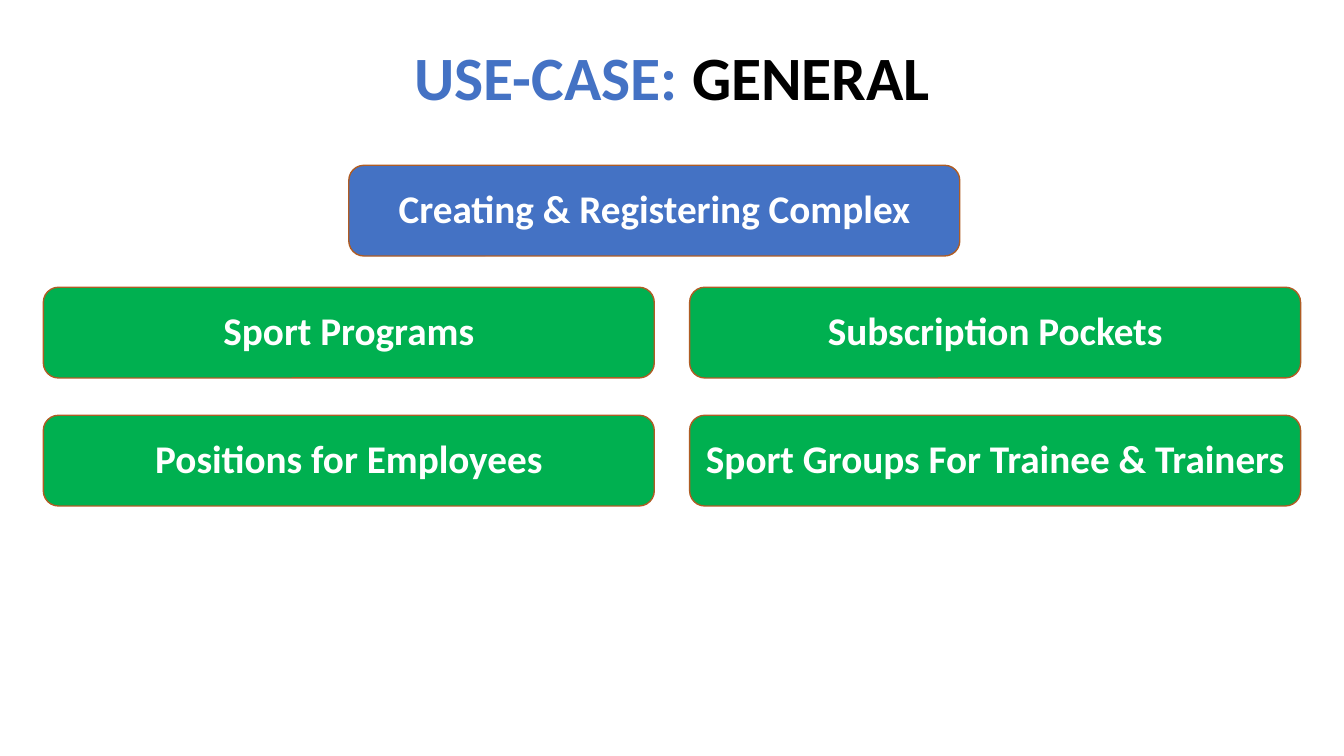
"""Build the general use-case slide: a heading over one main and four supporting use cases."""
from dataclasses import dataclass

import pptx
import pptx.dml.color
import pptx.enum.shapes
import pptx.enum.text
import pptx.slide
import pptx.text.text
import pptx.util

Inches = pptx.util.Inches
Pt = pptx.util.Pt
RGBColor = pptx.dml.color.RGBColor

BLUE = RGBColor(0x44, 0x72, 0xC4)
GREEN = RGBColor(0x00, 0xB0, 0x50)
RUST = RGBColor(0xAF, 0x5C, 0x24)
BLACK = RGBColor(0x00, 0x00, 0x00)
WHITE = RGBColor(0xFF, 0xFF, 0xFF)

CARD_WIDTH, CARD_HEIGHT = 6.06, 0.9
COLUMNS = (0.43, 6.84)
ROWS = (2.85, 4.12)


@dataclass(frozen=True)
class UseCase:
    """A use case with its card position in inches and its fill."""

    label: str
    left: float
    top: float
    fill: RGBColor = GREEN


SUPPORTING_LABELS = (
    ("Sport Programs", "Subscription Pockets"),
    ("Positions for Employees", "Sport Groups For Trainee & Trainers"),
)
USE_CASES = [UseCase("Creating & Registering Complex", 3.46, 1.64, BLUE)] + [
    UseCase(label, left, top)
    for top, labels in zip(ROWS, SUPPORTING_LABELS)
    for left, label in zip(COLUMNS, labels)
]


def write_text(
    frame: pptx.text.text.TextFrame,
    *parts: tuple[str, RGBColor],
    size: float,
    space_before: float = 0,
    side_margin: float = 0.1,
) -> None:
    """Write coloured parts as one bold centred paragraph."""
    frame.word_wrap = True
    frame.auto_size = pptx.enum.text.MSO_AUTO_SIZE.NONE
    frame.vertical_anchor = pptx.enum.text.MSO_ANCHOR.MIDDLE
    frame.margin_left = frame.margin_right = Inches(side_margin)
    paragraph = frame.paragraphs[0]
    paragraph.alignment = pptx.enum.text.PP_ALIGN.CENTER
    paragraph.line_spacing = 0.9
    paragraph.space_before = Pt(space_before)
    for text, color in parts:
        run = paragraph.add_run()
        run.text = text
        run.font.name = "Calibri"
        run.font.size = Pt(size)
        run.font.bold = True
        run.font.color.rgb = color


def draw_use_case(slide: pptx.slide.Slide, use_case: UseCase) -> None:
    """Draw a use case as a rounded card."""
    card = slide.shapes.add_shape(
        pptx.enum.shapes.MSO_SHAPE.ROUNDED_RECTANGLE,
        Inches(use_case.left),
        Inches(use_case.top),
        Inches(CARD_WIDTH),
        Inches(CARD_HEIGHT),
    )
    card.shadow.inherit = False
    card.fill.solid()
    card.fill.fore_color.rgb = use_case.fill
    card.line.color.rgb = RUST
    card.line.width = Pt(1)
    write_text(
        card.text_frame, (use_case.label, WHITE), size=28, space_before=10, side_margin=0.05
    )


def main() -> None:
    """Build and save the slide."""
    presentation = pptx.Presentation()
    presentation.slide_width = Inches(13.33)
    presentation.slide_height = Inches(7.5)
    slide = presentation.slides.add_slide(presentation.slide_layouts.get_by_name("Title Only"))

    heading = slide.shapes.title
    heading.left, heading.top = Inches(0.92), Inches(0.4)
    heading.width, heading.height = Inches(11.5), Inches(0.79)
    write_text(heading.text_frame, ("USE-CASE: ", BLUE), ("GENERAL", BLACK), size=44)

    for use_case in USE_CASES:
        draw_use_case(slide, use_case)
    presentation.save("out.pptx")


if __name__ == "__main__":
    main()
